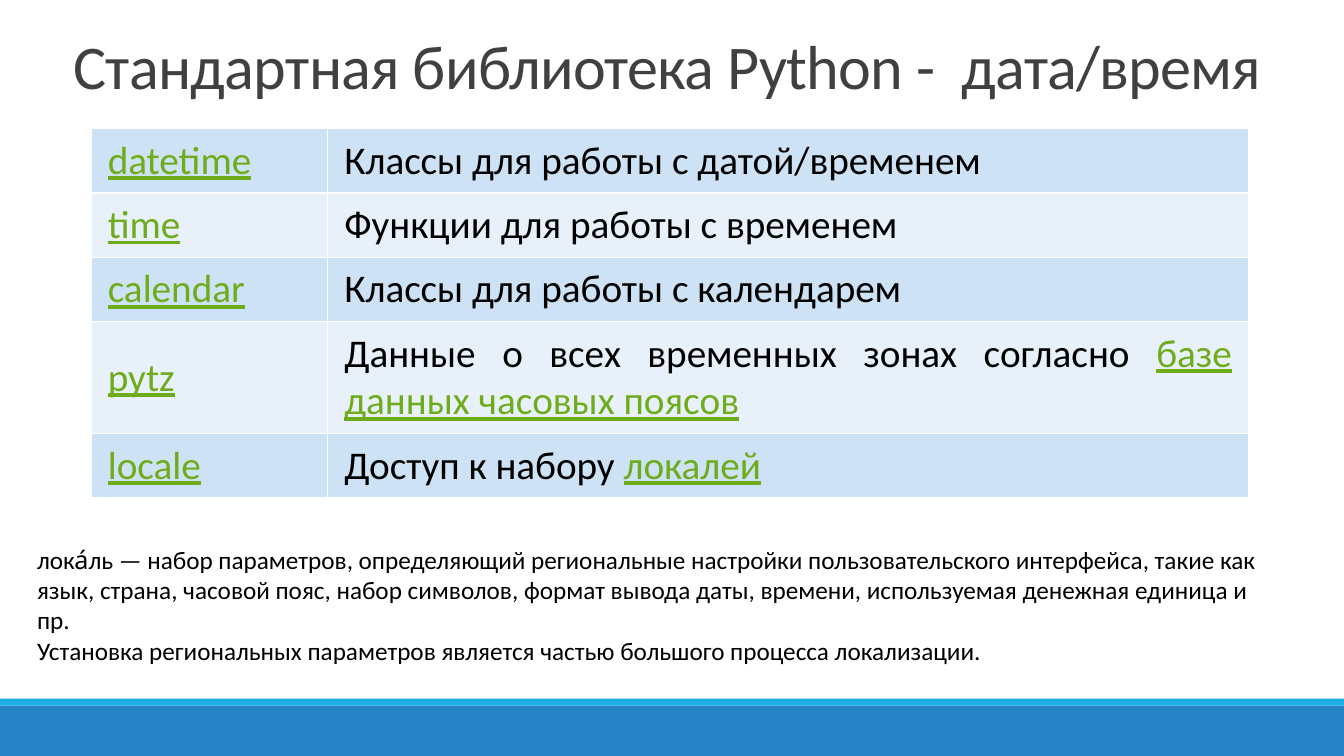
"""Build a slide listing Python's date and time modules in a table."""
from lxml import etree
from pptx import Presentation
from pptx import util as u
from pptx.dml.color import RGBColor
from pptx.enum import shapes, text
from pptx.oxml import parse_xml
from pptx.oxml.ns import nsdecls

Pt = u.Pt


def rgb(value):
    return RGBColor.from_string(value)


def style(r, size, color, underline=False):
    r.font.name = "Calibri"
    r.font.size = Pt(size)
    r.font.color.rgb = rgb(color)
    if underline:
        r.font.underline = True


prs = Presentation()
prs.slide_width, prs.slide_height = Pt(960), Pt(540)
s = prs.slides.add_slide(prs.slide_layouts[6])

for top, height, color in ((504, 36, "2683C6"), (499, 5, "1CADE4")):
    sp = s.shapes.add_shape(shapes.MSO_SHAPE.RECTANGLE, 0, Pt(top), Pt(960), Pt(height))
    sp.shadow.inherit = False
    sp.fill.solid()
    sp.fill.fore_color.rgb = rgb(color)
    sp.line.fill.background()

tf = s.shapes.add_textbox(Pt(45.4), Pt(14.4), Pt(867), Pt(62)).text_frame
tf.word_wrap = True
tf.vertical_anchor = text.MSO_ANCHOR.BOTTOM
p = tf.paragraphs[0]
p.text = "Стандартная библиотека Python -  дата/время"
p.line_spacing = 0.85
r = p.runs[0]
style(r, 44.4, "404040")
r.font._element.set("spc", "-50")

modules = [
    ("datetime", "Классы для работы с датой/временем", ""),
    ("time", "Функции для работы с временем", ""),
    ("calendar", "Классы для работы с календарем", ""),
    ("pytz", "Данные о всех временных зонах согласно ", "базе данных часовых поясов"),
    ("locale", "Доступ к набору ", "локалей"),
]
table = s.shapes.add_table(len(modules), 2, Pt(65), Pt(91.8), Pt(827), Pt(264)).table
table.first_row = False
table.horz_banding = False
table.columns[0].width, table.columns[1].width = Pt(169), Pt(658)

for i, (module, description, link) in enumerate(modules):
    table.rows[i].height = Pt(80 if module == "pytz" else 46)
    for j, parts in enumerate(([(module, True)], [(description, False), (link, True)])):
        cell = table.cell(i, j)
        cell.fill.solid()
        cell.fill.fore_color.rgb = rgb("E8F1FA" if i % 2 else "CDE3F5")
        cell.vertical_anchor = text.MSO_ANCHOR.MIDDLE
        cell.margin_left = cell.margin_right = Pt(12)
        cell.margin_top = cell.margin_bottom = Pt(5.76)
        p = cell.text_frame.paragraphs[0]
        p.alignment = text.PP_ALIGN.JUSTIFY
        for words, is_link in parts:
            if words:
                r = p.add_run()
                r.text = words
                style(r, 28, "6EAC1C" if is_link else "000000", is_link)
        tcPr = cell._tc.get_or_add_tcPr()
        for k, side in enumerate("LRTB"):
            line = parse_xml(f'<a:ln{side} {nsdecls("a")} w="12700"/>')
            fill = etree.SubElement(line, line.tag.replace(f"ln{side}", "solidFill"))
            etree.SubElement(fill, line.tag.replace(f"ln{side}", "srgbClr"), val="FFFFFF")
            tcPr.insert(k, line)

tf = s.shapes.add_textbox(Pt(19.4), Pt(385.2), Pt(892), Pt(94.5)).text_frame
tf.word_wrap = True
tf.text = (
    "лока́ль — набор параметров, определяющий региональные настройки пользовательского "
    "интерфейса, такие как язык, страна, часовой пояс, набор символов, формат вывода даты, "
    "времени, используемая денежная единица и пр.\n"
    "Установка региональных параметров является частью большого процесса локализации."
)
for p in tf.paragraphs:
    style(p.runs[0], 18, "000000")

prs.save("out.pptx")
